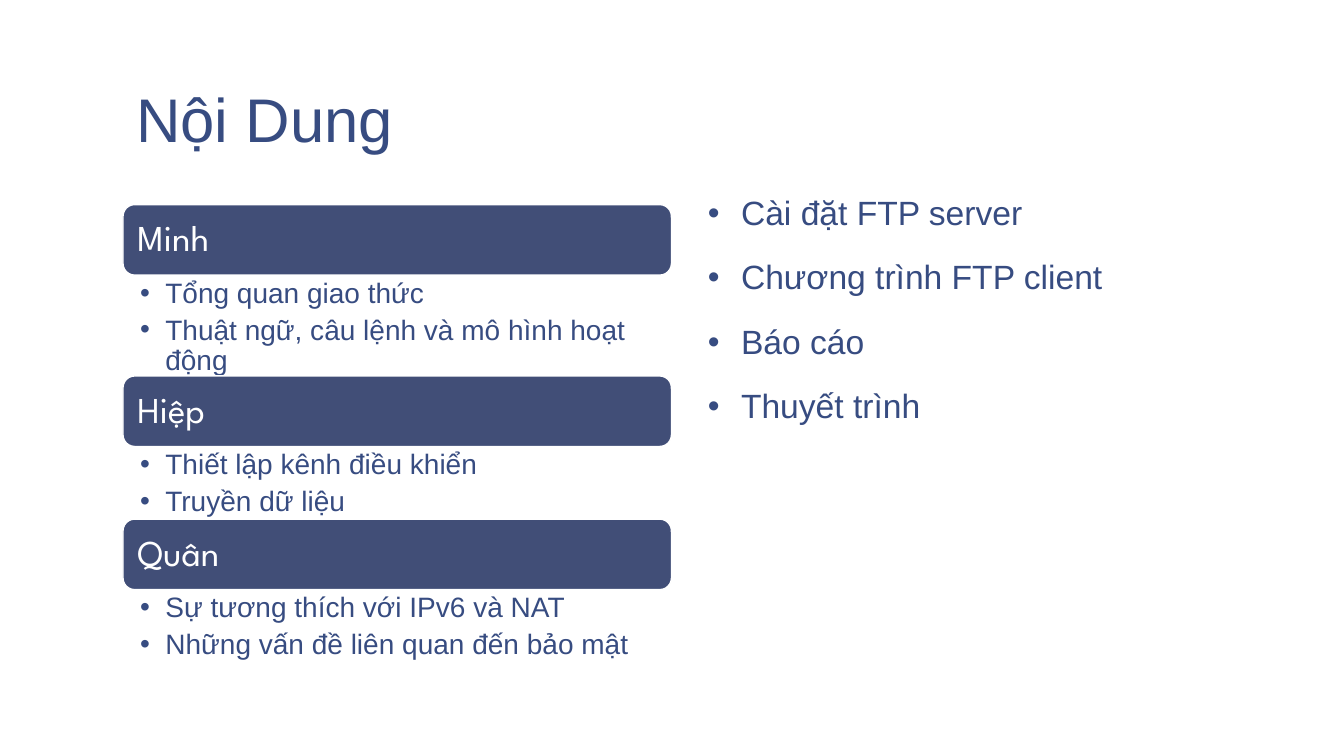
from dataclasses import dataclass

from lxml.etree import SubElement
from pptx import Presentation
from pptx.dml.color import RGBColor
from pptx.enum.shapes import MSO_SHAPE
from pptx.enum.text import MSO_ANCHOR, PP_ALIGN
from pptx.oxml.ns import qn
from pptx.util import Inches, Pt

TITLE = "Nội Dung"
# member, tasks, text lines that the tasks take up
MEMBERS = [
    ("Minh", ["Tổng quan giao thức", "Thuật ngữ, câu lệnh và mô hình hoạt động"], 3),
    ("Hiệp", ["Thiết lập kênh điều khiển", "Truyền dữ liệu"], 2),
    ("Quân", ["Sự tương thích với IPv6 và NAT", "Những vấn đề liên quan đến bảo mật"], 2),
]
SHARED_TASKS = ["Cài đặt FTP server", "Chương trình FTP client", "Báo cáo", "Thuyết trình"]


@dataclass(frozen=True)
class Theme:
    ink: RGBColor = RGBColor(0x37, 0x4C, 0x81)
    bar: RGBColor = RGBColor(0x41, 0x4E, 0x77)
    white: RGBColor = RGBColor(0xFF, 0xFF, 0xFF)
    body_font: str = "Arial"
    bar_font: str = "League Spartan"
    title_size: float = 44
    bar_size: float = 26
    shared_size: float = 24
    task_size: float = 20


T = Theme()
WIDTH, HEIGHT = 13.33, 7.5
LEFT, COLUMN, GAP = 1.22, 5.44, 0.23
RIGHT = LEFT + COLUMN + GAP
BARS_TOP, BAR_H = 2.03, 0.7
LINE_H, TASK_PAD = 0.28, 0.16
PLACEHOLDER_INSETS = (0.13, 0.07, 0.13, 0.07)
TASK_INSETS = (0.17, 0.04, 0.2, 0.04)
BAR_INSETS = (0.11, 0.11, 0.11, 0.11)


def write(shape, lines, size, color, font, insets, spacing,
          anchor=MSO_ANCHOR.TOP, before=0, after=0, indent=0):
    """Fill a shape with paragraphs; an indent above zero makes them bullets."""
    tf = shape.text_frame
    tf.word_wrap = True
    tf.vertical_anchor = anchor
    tf.margin_left, tf.margin_top, tf.margin_right, tf.margin_bottom = map(Inches, insets)
    tf.text = "\n".join(lines)
    for p in tf.paragraphs:
        p.alignment = PP_ALIGN.LEFT
        p.line_spacing = spacing
        p.space_before, p.space_after = Pt(before), Pt(after)
        for r in p.runs:
            r.font.size, r.font.name = Pt(size), font
            r.font.color.rgb = color
        if indent:
            pPr = p._p.get_or_add_pPr()
            pPr.set("marL", str(Inches(indent)))
            pPr.set("indent", str(-Inches(indent)))
            SubElement(pPr, qn("a:buFont")).set("typeface", T.body_font)
            SubElement(pPr, qn("a:buChar")).set("char", "•")


def add_text(s, box, *args, **kwargs):
    write(s.shapes.add_textbox(*map(Inches, box)), *args, **kwargs)


def add_bar(s, top, name):
    bar = s.shapes.add_shape(MSO_SHAPE.ROUNDED_RECTANGLE,
                             *map(Inches, (LEFT, top, COLUMN, BAR_H)))
    bar.shadow.inherit = False
    bar.fill.solid()
    bar.fill.fore_color.rgb = T.bar
    bar.line.color.rgb = T.white
    bar.line.width = Pt(1)
    write(bar, [name], T.bar_size, T.white, T.bar_font, BAR_INSETS, 0.9,
          anchor=MSO_ANCHOR.MIDDLE)


def main():
    prs = Presentation()
    prs.slide_width, prs.slide_height = Inches(WIDTH), Inches(HEIGHT)
    s = prs.slides.add_slide(prs.slide_layouts[6])
    s.background.fill.solid()
    s.background.fill.fore_color.rgb = T.white

    add_text(s, (LEFT, 0.08, 2 * COLUMN + GAP, 1.53), [TITLE], T.title_size, T.ink,
             T.body_font, PLACEHOLDER_INSETS, 0.85, anchor=MSO_ANCHOR.BOTTOM)

    top = BARS_TOP
    for name, tasks, line_count in MEMBERS:
        add_bar(s, top, name)
        top += BAR_H
        tasks_h = TASK_PAD + LINE_H * line_count
        add_text(s, (LEFT, top, COLUMN, tasks_h), tasks, T.task_size, T.ink,
                 T.body_font, TASK_INSETS, 0.9, after=4.6, indent=0.25)
        top += tasks_h

    add_text(s, (RIGHT, 1.86, COLUMN, 4.89), SHARED_TASKS, T.shared_size, T.ink,
             T.body_font, PLACEHOLDER_INSETS, 0.95, before=18.7, indent=0.33)
    prs.save("out.pptx")


if __name__ == "__main__":
    main()
